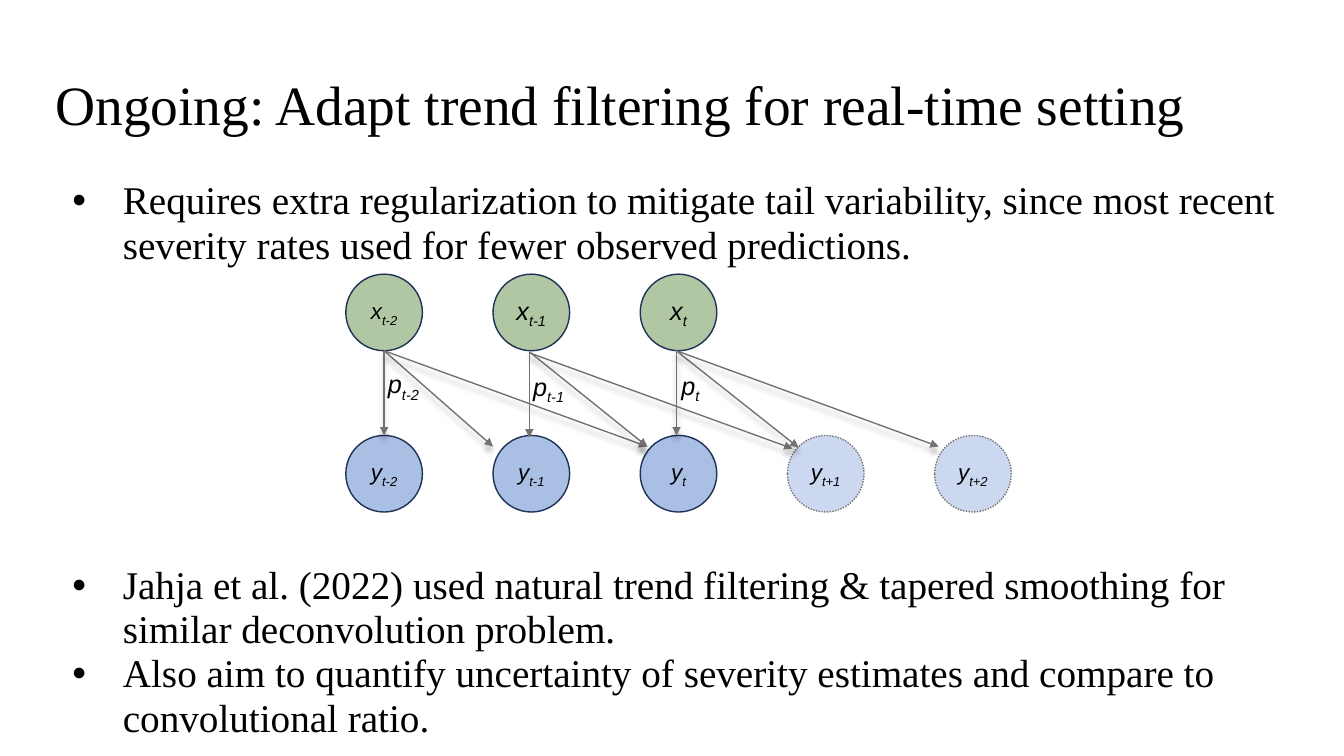
import pptx
import pptx.util
import pptx.dml.color
import pptx.enum.dml
import pptx.enum.shapes
import pptx.enum.text
import pptx.oxml
import pptx.oxml.ns

PX = 9144  # 100 px to the inch
THEME = {
    "serif": "Times New Roman", "sans": "Arial",
    "text": "000000", "hidden": "548235", "observed": "4472C4", "future": "8FAADC",
    "outline": "1E3256", "grey": "767171",
    "title": 39.6, "body": 28, "symbol": 18, "small": 16,
}
NS = pptx.oxml.ns.nsdecls("a")
rgb = pptx.dml.color.RGBColor.from_string
anchor = pptx.enum.text.MSO_ANCHOR


def add_text(tf, text, sub="", new=False, size=THEME["body"], font=THEME["serif"],
             italic=False, align=None, spacing=None, before=None, bullet=False):
    """Write one paragraph, with an optional subscript after the text."""
    p = tf.add_paragraph() if new else tf.paragraphs[0]
    p.alignment, p.line_spacing = align, spacing
    if before:
        p.space_before = pptx.util.Pt(before)
    if bullet:
        pPr = p._p.get_or_add_pPr()
        pPr.set("marL", str(67 * PX))
        pPr.set("indent", str(-50 * PX))
        pPr.append(pptx.oxml.parse_xml(f'<a:buFont {NS} typeface="{THEME["sans"]}"/>'))
        pPr.append(pptx.oxml.parse_xml(f'<a:buChar {NS} char="•"/>'))
    for part, baseline in ((text, None), (sub, "-25000")):
        if not part:
            continue
        r = p.add_run()
        r.text = part
        r.font.size = pptx.util.Pt(size)
        r.font.name = font
        r.font.italic = italic
        r.font.color.rgb = rgb(THEME["text"])
        if baseline:
            r._r.get_or_add_rPr().set("baseline", baseline)


def set_frame(sp, insets, vertical):
    """Wrap the text, set its margins in px and its vertical anchor."""
    tf = sp.text_frame
    tf.word_wrap = True
    tf.vertical_anchor = vertical
    tf.margin_left, tf.margin_top, tf.margin_right, tf.margin_bottom = (v * PX for v in insets)
    return tf


prs = pptx.Presentation()
prs.slide_width, prs.slide_height = 1333 * PX, 750 * PX
s = prs.slides.add_slide(prs.slide_layouts[6])

# Title
sp = s.shapes.add_textbox(45 * PX, 65 * PX, 1242 * PX, 84 * PX)
add_text(set_frame(sp, (10, 10, 10, 10), anchor.MIDDLE),
         "Ongoing: Adapt trend filtering for real-time setting",
         size=THEME["title"], spacing=0.9)

# Nodes: column, row, variable, time index, fill, type size
LEFT, TOP, STEP, ROW, SIZE = 343, 272, 146, 160, 76
nodes = [
    (0, 0, "x", "t-2", "hidden", "small"),
    (1, 0, "x", "t-1", "hidden", "symbol"),
    (2, 0, "x", "t", "hidden", "symbol"),
    (0, 1, "y", "t-2", "observed", "small"),
    (1, 1, "y", "t-1", "observed", "small"),
    (2, 1, "y", "t", "observed", "small"),
    (3, 1, "y", "t+1", "future", "small"),
    (4, 1, "y", "t+2", "future", "small"),
]
for col, row, var, index, fill, size in nodes:
    sp = s.shapes.add_shape(pptx.enum.shapes.MSO_SHAPE.OVAL, (LEFT + col * STEP) * PX,
                            (TOP + row * ROW) * PX, SIZE * PX, SIZE * PX)
    sp.shadow.inherit = False
    sp.fill.solid()
    sp.fill.fore_color.rgb = rgb(THEME[fill])
    color = sp.fill._xPr.find(".//" + pptx.oxml.ns.qn("a:srgbClr"))
    color.append(pptx.oxml.parse_xml(f'<a:alpha {NS} val="45000"/>'))
    sp.line.width = pptx.util.Pt(1)
    sp.line.color.rgb = rgb(THEME["grey" if fill == "future" else "outline"])
    if fill == "future":
        sp.line.dash_style = pptx.enum.dml.MSO_LINE.ROUND_DOT
    add_text(set_frame(sp, (0, 0, 0, 0), anchor.MIDDLE), var, index, size=THEME[size],
             font=THEME["sans"], italic=True, align=pptx.enum.text.PP_ALIGN.CENTER)

# Arrows: start, end, soft shadow
arrows = [
    (381, 348, 489, 443, True), (381, 348, 642, 443, True), (381, 348, 381, 432, True),
    (525, 349, 642, 443, True), (525, 350, 786, 445, True), (525, 349, 525, 434, False),
    (672, 349, 792, 444, True), (671, 348, 931, 443, True), (671, 347, 671, 432, True),
]
SHADOW = (f'<a:outerShdw {NS} blurRad="50800" dist="50800" dir="5400000" rotWithShape="0">'
          '<a:srgbClr val="000000"><a:alpha val="27000"/></a:srgbClr></a:outerShdw>')
for x1, y1, x2, y2, shadow in arrows:
    line = s.shapes.add_connector(pptx.enum.shapes.MSO_CONNECTOR.STRAIGHT,
                                  x1 * PX, y1 * PX, x2 * PX, y2 * PX)
    line.line.width = pptx.util.Pt(1)
    line.line.color.rgb = rgb(THEME["grey"])
    line.line._get_or_add_ln().append(
        pptx.oxml.parse_xml(f'<a:tailEnd {NS} type="triangle"/>'))
    effects = pptx.oxml.parse_xml(f"<a:effectLst {NS}/>")
    if shadow:
        effects.append(pptx.oxml.parse_xml(SHADOW))
    line._element.spPr.append(effects)

# Probability labels beside the vertical arrows
for x, y, index in ((375, 361, "t-2"), (519, 363, "t-1"), (666, 362, "t")):
    sp = s.shapes.add_textbox(x * PX, y * PX, 54 * PX, 40 * PX)
    add_text(set_frame(sp, (10, 5, 0, 5), anchor.TOP), "p", index,
             size=THEME["symbol"], font=THEME["sans"], italic=True)

# Bullets, with room for the diagram after the first one
bullets = [
    ("Requires extra regularization to mitigate tail variability, since most recent "
     "severity rates used for fewer observed predictions.", 0),
    ("Jahja et al. (2022) used natural trend filtering & tapered smoothing for "
     "similar deconvolution problem.", 211.5),
    ("Also aim to quantify uncertainty of severity estimates and compare to "
     "convolutional ratio.", 0),
]
sp = s.shapes.add_textbox(45 * PX, 168 * PX, 1242 * PX, 591 * PX)
tf = set_frame(sp, (10, 10, 10, 10), anchor.TOP)
for i, (text, before) in enumerate(bullets):
    add_text(tf, text, new=i > 0, spacing=0.94, before=before, bullet=True)

prs.save("out.pptx")
